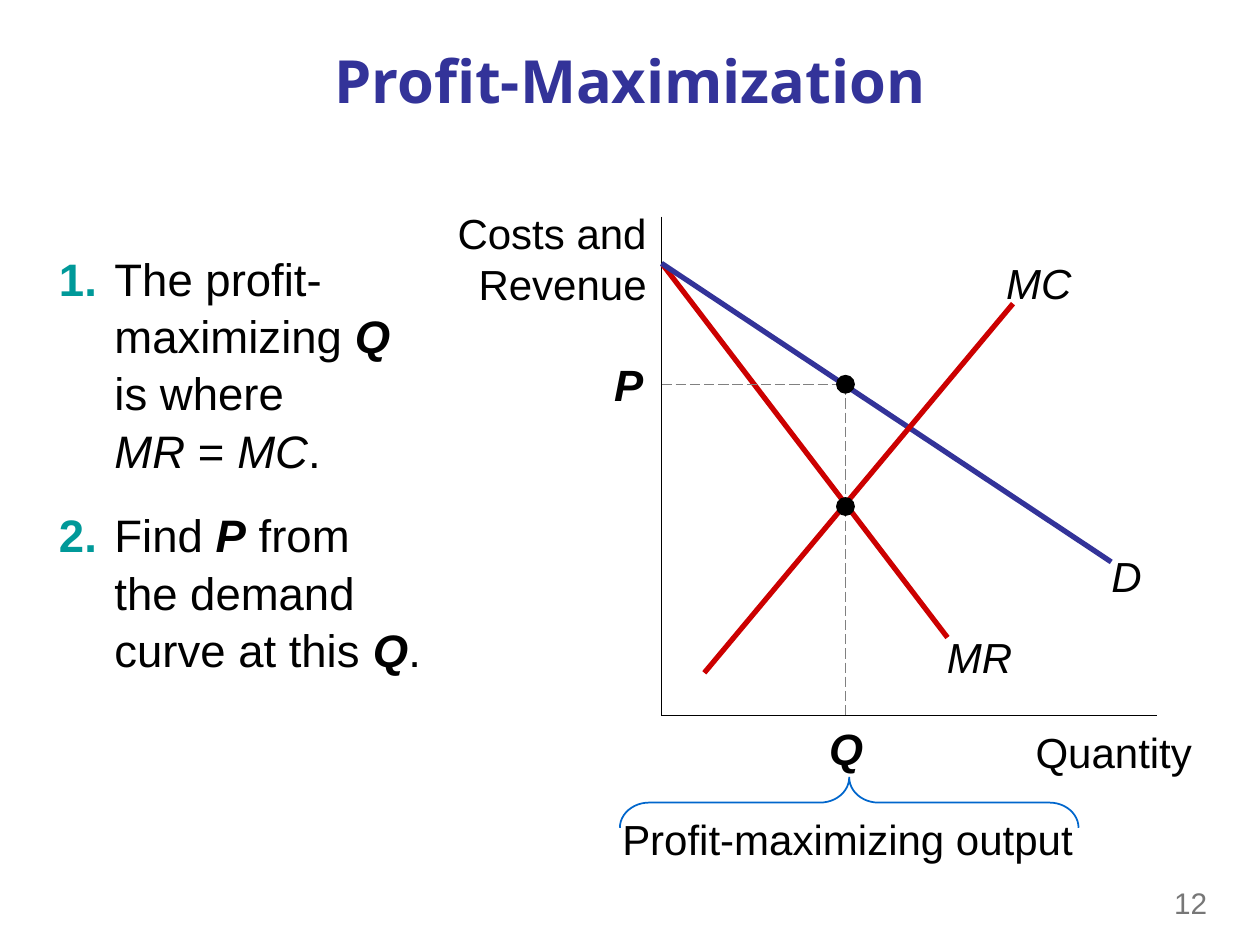
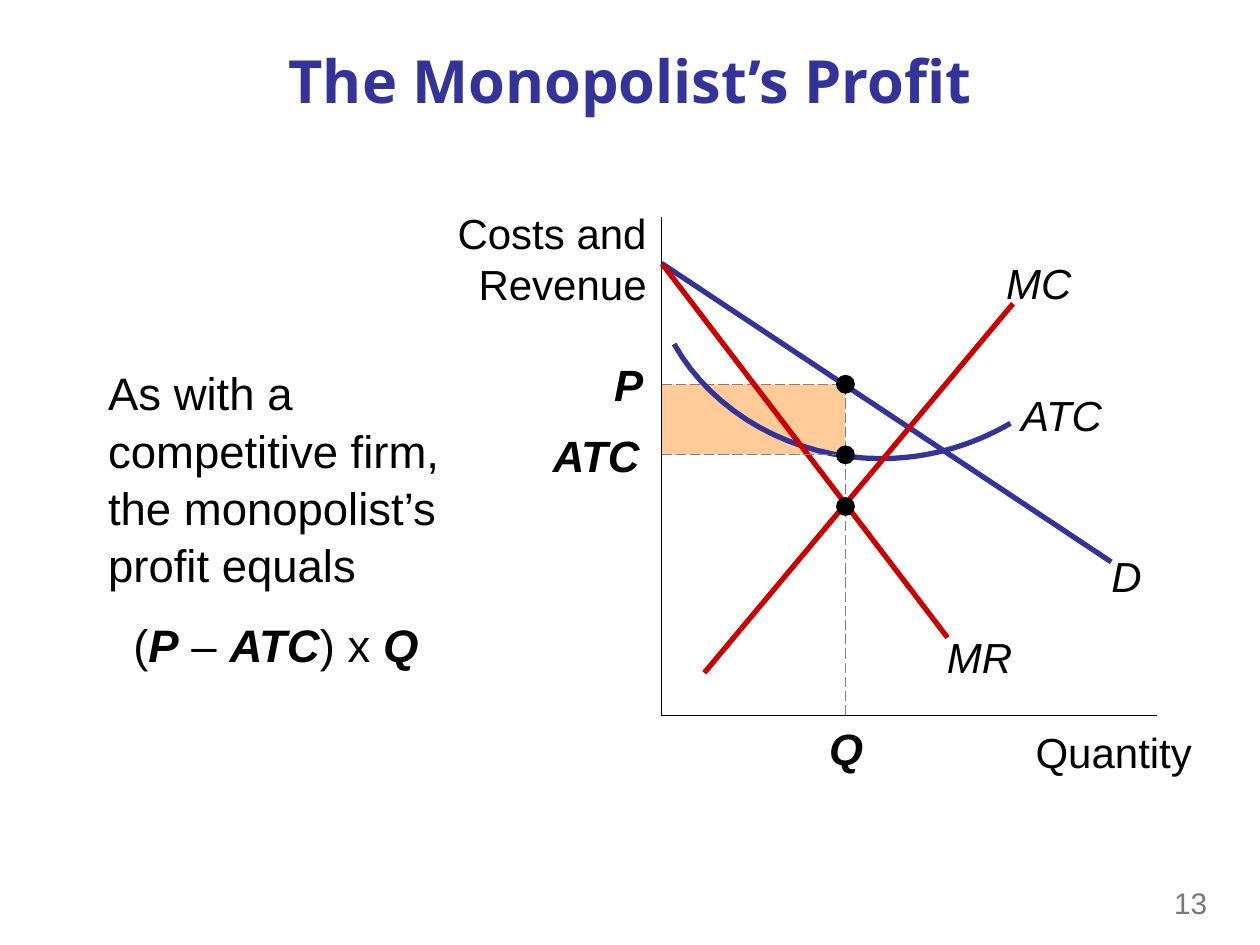
from lxml import etree
from pptx import Presentation
from pptx.dml.color import RGBColor
from pptx.enum.dml import MSO_LINE
from pptx.enum.shapes import MSO_CONNECTOR, MSO_SHAPE
from pptx.enum.text import MSO_ANCHOR, PP_ALIGN
from pptx.oxml.ns import qn
from pptx.util import Inches, Pt

# Enum members
LEFT, CENTER, RIGHT = PP_ALIGN.LEFT, PP_ALIGN.CENTER, PP_ALIGN.RIGHT
TOP, MIDDLE = MSO_ANCHOR.TOP, MSO_ANCHOR.MIDDLE
STRAIGHT, LONG_DASH = MSO_CONNECTOR.STRAIGHT, MSO_LINE.LONG_DASH
DOT, RECTANGLE, BRACE = MSO_SHAPE.OVAL, MSO_SHAPE.RECTANGLE, MSO_SHAPE.LEFT_BRACE

# Colours
BLACK = RGBColor(0x00, 0x00, 0x00)
NAVY = RGBColor(0x33, 0x33, 0x99)
RED = RGBColor(0xCC, 0x00, 0x00)
TEAL = RGBColor(0x00, 0x99, 0x99)
BLUE = RGBColor(0x00, 0x66, 0xCC)
ORANGE = RGBColor(0xFF, 0xCC, 0x99)
GUIDE_GREY = RGBColor(0x80, 0x80, 0x80)
NUMBER_GREY = RGBColor(0x77, 0x77, 0x77)

# Text formats
PLAIN = {"name": "Arial", "size": Pt(26), "color": BLACK}
ITALIC = {**PLAIN, "italic": True}
STRONG = {**ITALIC, "bold": True}
LIST_NUMBER = {**PLAIN, "color": TEAL, "bold": True}
AXIS_LABEL = {**PLAIN, "size": Pt(24)}
CURVE_LABEL = {**AXIS_LABEL, "italic": True}
VALUE_LABEL = {**STRONG, "size": Pt(25)}
TITLE = {"name": "Open Sans", "size": Pt(34), "color": NAVY, "bold": True}
PAGE_NUMBER = {"name": "Arial", "size": Pt(17), "color": NUMBER_GREY}

# Graph geometry in inches
AXIS_X, AXIS_TOP, AXIS_Y, AXIS_END = 5.25, 1.72, 5.68, 9.18
OUTPUT_X, PRICE_Y, ATC_Y, MARGINAL_Y = 6.71, 3.05, 3.61, 4.02
DOT_SIZE = 0.15

# Curve: start, end, colour, label place
CURVES = {
    "D": ((5.25, 2.09), (8.82, 4.46), NAVY, (8.7, 4.37, 0.48, 0.4)),
    "MR": ((5.26, 2.1), (7.52, 5.06), RED, (7.45, 5.01, 0.65, 0.4)),
    "MC": ((5.59, 5.34), (8.04, 2.41), RED, (7.92, 2.04, 0.65, 0.4)),
}

# Average total cost: two Bezier pieces, right to left
ATC_PIECES = [
    ((8.02, 3.36), (7.71, 3.54), (7.36, 3.64), (6.99, 3.64)),
    ((6.99, 3.64), (6.3, 3.64), (5.66, 3.28), (5.35, 2.73)),
]
ATC_STEPS = 16


def add_spans(para, spans):
    """Add (text, format) spans; a newline in the text is a line break."""
    for text, style in spans:
        for index, line in enumerate(text.split("\n")):
            if index:
                para.add_line_break()
            if not line:
                continue
            span = para.add_run()
            span.text = line
            for name, value in style.items():
                if name == "color":
                    span.font.color.rgb = value
                else:
                    setattr(span.font, name, value)


def add_text(page, place, paragraphs, align=LEFT, anchor=TOP, inset=True,
             **spacing):
    box = page.shapes.add_textbox(*map(Inches, place))
    frame = box.text_frame
    frame.word_wrap = True
    frame.vertical_anchor = anchor
    if not inset:
        for side in ("left", "top", "right", "bottom"):
            setattr(frame, f"margin_{side}", 0)
    for index, spans in enumerate(paragraphs):
        para = frame.add_paragraph() if index else frame.paragraphs[0]
        para.alignment = align
        for name, value in spacing.items():
            setattr(para, name, value)
        add_spans(para, spans)
    return frame


def add_label(page, place, text, style, **options):
    return add_text(page, place, [[(text, style)]], **options)


def indent(para, left, first):
    properties = para._p.get_or_add_pPr()
    properties.set("marL", str(Inches(left)))
    properties.set("indent", str(Inches(first)))


def add_line(page, start, end, color, width=0.75, dash=None):
    line = page.shapes.add_connector(STRAIGHT, *map(Inches, start + end))
    line.line.color.rgb = color
    line.line.width = Pt(width)
    if dash is not None:
        line.line.dash_style = dash
    etree.SubElement(line._element.spPr, qn("a:effectLst"))


def add_guide(page, start, end):
    add_line(page, start, end, GUIDE_GREY, dash=LONG_DASH)


def add_filled(page, kind, place, color):
    shape = page.shapes.add_shape(kind, *map(Inches, place))
    shape.shadow.inherit = False
    shape.fill.solid()
    shape.fill.fore_color.rgb = color
    shape.line.fill.background()


def add_dot(page, y):
    half = DOT_SIZE / 2
    add_filled(page, DOT, (OUTPUT_X - half, y - half, DOT_SIZE, DOT_SIZE), BLACK)


def add_axes(page):
    origin = (AXIS_X, AXIS_Y)
    add_line(page, (AXIS_X, AXIS_TOP), origin, BLACK)
    add_line(page, origin, (AXIS_END, AXIS_Y), BLACK)
    add_label(page, (8.1, 5.77, 1.36, 0.4), "Quantity", AXIS_LABEL,
              align=RIGHT, inset=False)
    add_label(page, (3.49, 1.6, 1.74, 0.9), "Costs and Revenue", AXIS_LABEL,
              align=RIGHT)


def add_curve_label(page, place, name):
    add_label(page, place, name, CURVE_LABEL, align=CENTER, inset=False)


def add_curve(page, name):
    start, end, color, place = CURVES[name]
    add_line(page, start, end, color, width=3)
    add_curve_label(page, place, name)


def bezier_point(piece, t):
    weights = ((1 - t) ** 3, 3 * t * (1 - t) ** 2, 3 * t * t * (1 - t), t ** 3)
    return tuple(Inches(sum(w * point[axis] for w, point in zip(weights, piece)))
                 for axis in (0, 1))


def add_atc_curve(page):
    points = [bezier_point(piece, step / ATC_STEPS)
              for piece in ATC_PIECES for step in range(1, ATC_STEPS + 1)]
    builder = page.shapes.build_freeform(*bezier_point(ATC_PIECES[0], 0))
    builder.add_line_segments(points, close=False)
    curve = builder.convert_to_shape()
    curve.shadow.inherit = False
    curve.fill.background()
    curve.line.color.rgb = NAVY
    curve.line.width = Pt(3)
    add_curve_label(page, (8.02, 3.09, 0.81, 0.4), "ATC")


def add_price_guides(page):
    add_guide(page, (AXIS_X, PRICE_Y), (OUTPUT_X, PRICE_Y))
    add_guide(page, (OUTPUT_X, PRICE_Y), (OUTPUT_X, MARGINAL_Y))


def add_price_mark(page):
    add_dot(page, PRICE_Y)
    add_label(page, (4.77, 2.79, 0.44, 0.52), "P", VALUE_LABEL, align=CENTER)


def add_output_mark(page):
    add_guide(page, (OUTPUT_X, MARGINAL_Y), (OUTPUT_X, AXIS_Y))
    add_dot(page, MARGINAL_Y)
    add_label(page, (6.43, 5.68, 0.57, 0.52), "Q", VALUE_LABEL, align=CENTER)


def add_output_brace(page):
    add_label(page, (4.84, 6.41, 3.78, 0.5), "Profit-maximizing output", AXIS_LABEL)
    brace = page.shapes.add_shape(BRACE, *map(Inches, (6.54, 4.55, 0.4, 3.64)))
    brace.rotation = 90
    brace.adjustments[0] = 0.58
    brace.adjustments[1] = 0.5
    brace.shadow.inherit = False
    brace.fill.background()
    brace.line.color.rgb = BLUE
    brace.line.width = Pt(1)


def add_page(deck, title, number):
    page = deck.slides.add_slide(deck.slide_layouts[6])
    add_label(page, (9.22, 6.96, 0.67, 0.41), str(number), PAGE_NUMBER, anchor=MIDDLE)
    add_label(page, (0.5, 0.28, 9, 0.71), title, TITLE, align=CENTER, anchor=MIDDLE)
    return page


def build_maximization(deck):
    page = add_page(deck, "Profit-Maximization", 12)
    steps = [
        [("1.\t", LIST_NUMBER), ("The profit-maximizing ", PLAIN), ("Q", STRONG),
         ("\nis where\n", PLAIN), ("MR", ITALIC), (" = ", PLAIN),
         ("MC", ITALIC), (".", PLAIN)],
        [("2.\t", LIST_NUMBER), ("Find ", PLAIN), ("P", STRONG),
         (" from\nthe demand curve at this ", PLAIN), ("Q", STRONG), (".", PLAIN)],
    ]
    frame = add_text(page, (0.37, 1.92, 3.37, 4.78), steps,
                     line_spacing=1.05, space_before=Pt(15.6))
    for para in frame.paragraphs:
        indent(para, 0.44, -0.44)

    # Graph
    add_axes(page)
    for name in ("MR", "D", "MC"):
        add_curve(page, name)
    add_output_brace(page)
    add_price_guides(page)
    add_price_mark(page)
    add_output_mark(page)


def build_profit(deck):
    page = add_page(deck, "The Monopolist’s Profit", 13)
    # Profit area lies behind the curves
    add_filled(page, RECTANGLE,
               (AXIS_X, PRICE_Y, OUTPUT_X - AXIS_X, ATC_Y - PRICE_Y), ORANGE)
    add_price_guides(page)

    explanation = [
        [("As with a competitive firm,\nthe monopolist’s\nprofit equals", PLAIN)],
        [("(", PLAIN), ("P", STRONG), (" – ", PLAIN), ("ATC", STRONG),
         (") x ", PLAIN), ("Q", STRONG)],
    ]
    frame = add_text(page, (0.76, 2.83, 3.13, 2.77), explanation,
                     line_spacing=1.05, space_before=Pt(13))
    indent(frame.paragraphs[1], 0.2, 0)

    # Graph
    add_axes(page)
    add_atc_curve(page)
    for name in ("D", "MR", "MC"):
        add_curve(page, name)
    add_output_mark(page)
    add_price_mark(page)
    add_guide(page, (AXIS_X, ATC_Y), (OUTPUT_X, ATC_Y))
    add_dot(page, ATC_Y)
    add_label(page, (4.29, 3.35, 0.93, 0.52), "ATC", VALUE_LABEL)


def main():
    deck = Presentation()
    deck.slide_width, deck.slide_height = Inches(10), Inches(7.5)
    build_maximization(deck)
    build_profit(deck)
    deck.save("out.pptx")


if __name__ == "__main__":
    main()
